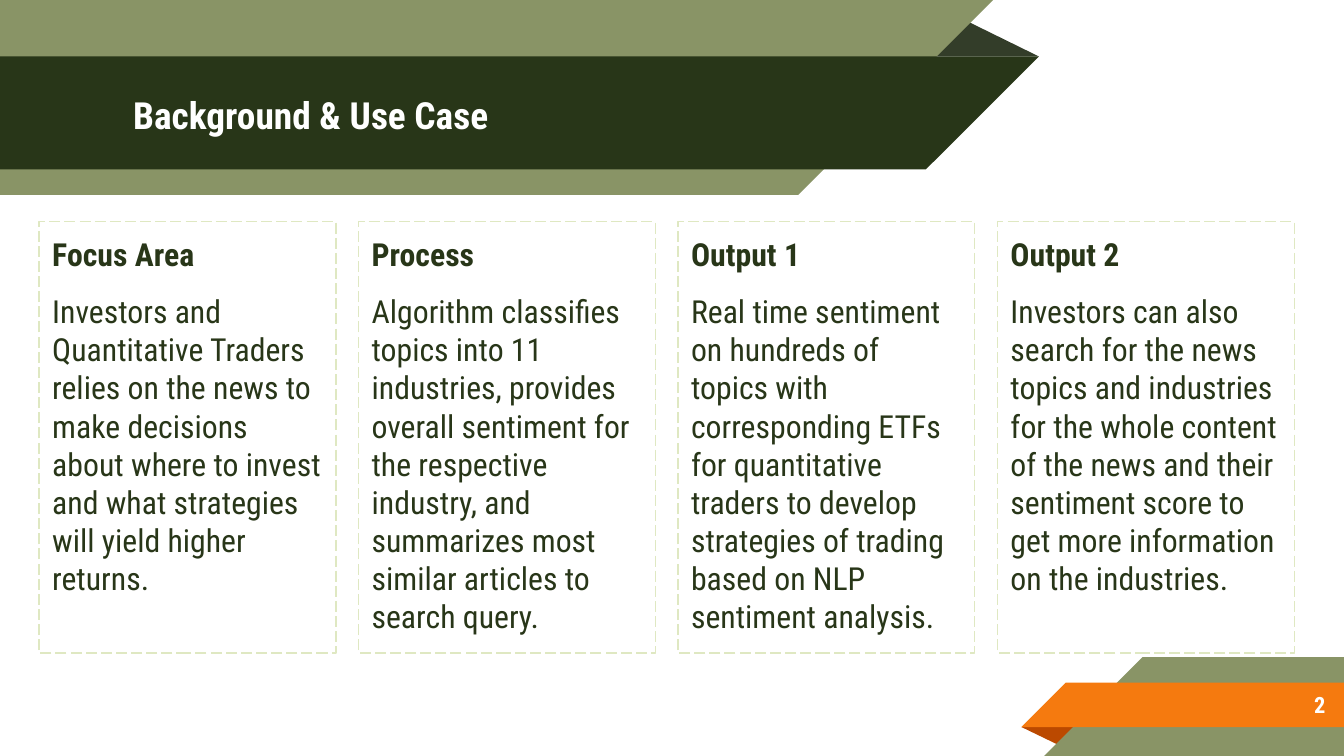
from pptx import Presentation
from pptx.dml.color import RGBColor
from pptx.enum.dml import MSO_LINE
from pptx.enum.shapes import MSO_SHAPE
from pptx.enum.text import MSO_ANCHOR, PP_ALIGN
from pptx.util import Inches, Pt

RECT = MSO_SHAPE.RECTANGLE
DASH = MSO_LINE.LONG_DASH
TOP, MIDDLE = MSO_ANCHOR.TOP, MSO_ANCHOR.MIDDLE
LEFT, RIGHT = PP_ALIGN.LEFT, PP_ALIGN.RIGHT

FONT = "Roboto Condensed"
WHITE, DARK, OLIVE, ORANGE = "FFFFFF", "283618", "899466", "F57A0F"
WIDE = 10
HIGH = WIDE * 9 / 16

TITLE = "Background & Use Case"
NUMBER = "2"
CARDS = [
    ("Focus Area", "Investors and Quantitative Traders relies on the news to make "
     "decisions about where to invest and what strategies will yield higher returns."),
    ("Process", "Algorithm classifies topics into 11 industries, provides overall "
     "sentiment for the respective industry, and summarizes most similar articles "
     "to search query."),
    ("Output 1", "Real time sentiment on hundreds of topics with corresponding ETFs "
     "for quantitative traders to develop strategies of trading based on NLP "
     "sentiment analysis."),
    ("Output 2", "Investors can also search for the news topics and industries for "
     "the whole content of the news and their sentiment score to get more "
     "information on the industries."),
]

# Ribbon parts from back to front: fill and corner points
RIBBONS = [
    ("333D29", [(7.16, 0.14), (7.73, 0.42), (6.88, 0.42)]),
    (OLIVE, [(0, 0), (7.39, 0), (5.94, 1.45), (0, 1.45)]),
    (DARK, [(0, 0.42), (7.73, 0.42), (6.89, 1.26), (0, 1.26)]),
    ("BB4900", [(7.6, 5.41), (8.03, 5.41), (7.89, 5.55)]),
    (OLIVE, [(8.5, 4.89), (WIDE, 4.89), (WIDE, HIGH), (7.77, HIGH)]),
    (ORANGE, [(7.93, 5.08), (WIDE, 5.08), (WIDE, 5.41), (7.6, 5.41)]),
]

FIRST_X, LAST_X = 0.29, 7.42
CARD_Y, CARD_W, CARD_H = 1.65, 2.21, 3.21
STEP = (LAST_X - FIRST_X) / (len(CARDS) - 1)


def color(code):
    return RGBColor.from_string(code)


def ribbon(slide, fill, points):
    corners = [(Inches(x), Inches(y)) for x, y in points]
    pen = slide.shapes.build_freeform(*corners[0], scale=1)
    pen.add_line_segments(corners[1:], close=True)
    shape = pen.convert_to_shape()
    shape.shadow.inherit = False
    shape.fill.solid()
    shape.fill.fore_color.rgb = color(fill)
    shape.line.fill.background()


def write(shape, paras, size, ink, anchor=TOP, align=LEFT):
    """Fill a shape with (text, bold, space before, space after) paragraphs."""
    frame = shape.text_frame
    look = {"word_wrap": True, "vertical_anchor": anchor}
    for side in ("left", "right", "top", "bottom"):
        look["margin_" + side] = Inches(0.1)
    for key, value in look.items():
        setattr(frame, key, value)
    for i, (text, bold, before, after) in enumerate(paras):
        para = frame.add_paragraph() if i else frame.paragraphs[0]
        para.alignment = align
        para.space_before, para.space_after = Pt(before), Pt(after)
        run = para.add_run()
        run.text = text
        for key, value in {"name": FONT, "size": Pt(size), "bold": bold}.items():
            setattr(run.font, key, value)
        run.font.color.rgb = color(ink)


def card(slide, x, head, body):
    box = slide.shapes.add_shape(
        RECT, Inches(x), Inches(CARD_Y), Inches(CARD_W), Inches(CARD_H))
    box.shadow.inherit = False
    box.fill.background()
    box.line.color.rgb = color("DFE8C2")
    box.line.width = Pt(0.75)
    box.line.dash_style = DASH
    write(box, [(head, True, 6, 0), (body, False, 10, 10)], 17, DARK)


def main():
    deck = Presentation()
    deck.slide_width, deck.slide_height = Inches(WIDE), Inches(HIGH)
    slide = deck.slides.add_slide(deck.slide_layouts[5])

    for fill, points in RIBBONS:
        ribbon(slide, fill, points)

    title = slide.shapes.title
    title.left, title.top = Inches(0.89), Inches(0.43)
    title.width, title.height = Inches(5.75), Inches(0.84)
    write(title, [(TITLE, True, 0, 0)], 20, WHITE, MIDDLE)
    title.element.getparent().append(title.element)  # in front of the ribbons

    for i, (head, body) in enumerate(CARDS):
        card(slide, FIRST_X + i * STEP, head, body)

    page = slide.shapes.add_textbox(
        Inches(8.33), Inches(5.07), Inches(1.63), Inches(0.35))
    write(page, [(NUMBER, True, 0, 0)], 12, WHITE, MIDDLE, RIGHT)

    deck.save("out.pptx")


if __name__ == "__main__":
    main()
